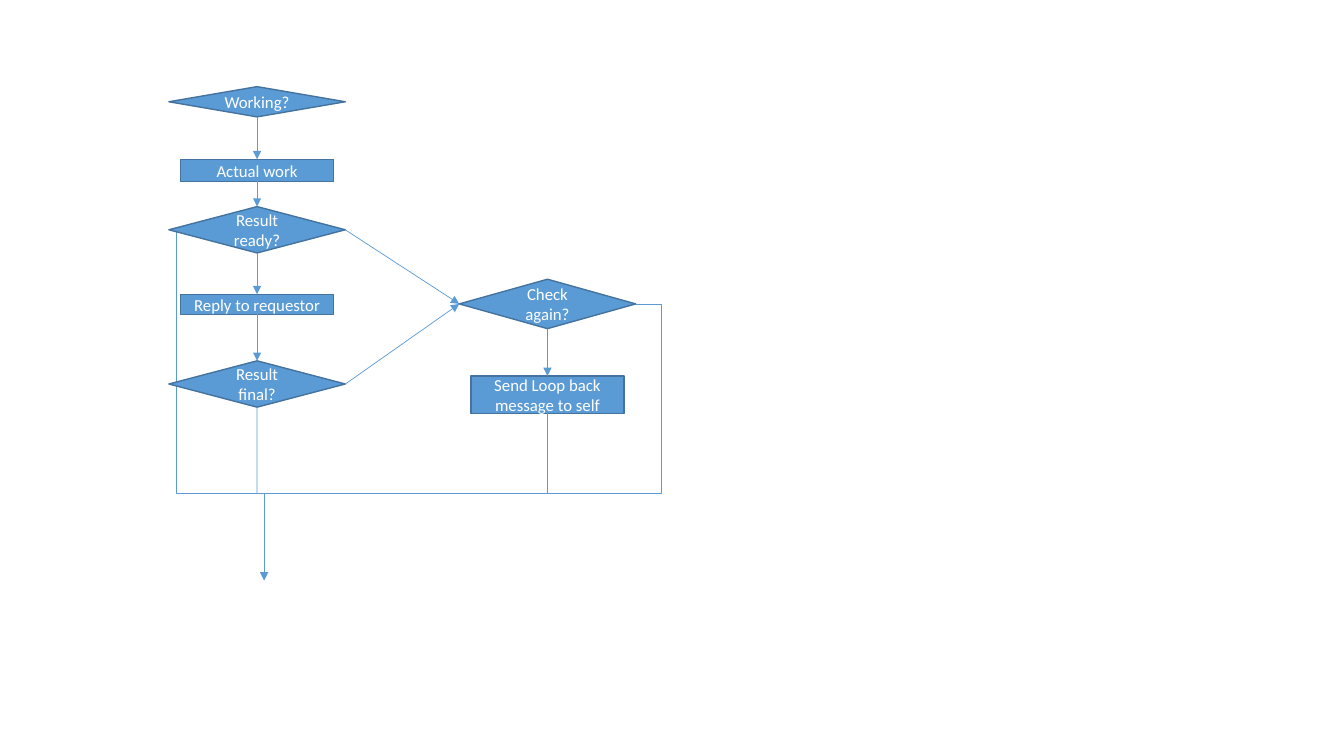
from lxml import etree
from pptx import Presentation
from pptx import util as u
from pptx.dml.color import RGBColor
from pptx.enum import shapes, text
from pptx.oxml.ns import qn

COLORS = {"fill": "5B9BD5", "border": "43739E", "line": "5B9BD5", "text": "FFFFFF"}
FONT = "Calibri"
MAIN_X, LOOP_X = 2.55, 5.43  # centres of the two columns
JOIN_Y = 4.89  # height at which all paths to the exit meet
EXIT_X, EXIT_Y = 2.62, 5.76
DECISION, ACTION = shapes.MSO_SHAPE.FLOWCHART_DECISION, shapes.MSO_SHAPE.RECTANGLE
WIDTHS = {DECISION: 1.75, ACTION: 1.52}
TOP, LEFT, BOTTOM, RIGHT = range(4)  # connection sites

# Steps: label, kind, column centre, top, height
STEPS = [
    ("Working?", DECISION, MAIN_X, 0.86, 0.30),
    ("Actual work", ACTION, MAIN_X, 1.58, 0.22),
    ("Result ready?", DECISION, MAIN_X, 2.05, 0.46),
    ("Reply to requestor", ACTION, MAIN_X, 2.92, 0.20),
    ("Result final?", DECISION, MAIN_X, 3.58, 0.46),
    ("Check again?", DECISION, LOOP_X, 2.77, 0.49),
    ("Send Loop back message to self", ACTION, LOOP_X, 3.73, 0.37),
]

# Arrows between steps: from, site, to, site
ARROWS = [
    ("Working?", BOTTOM, "Actual work", TOP),
    ("Actual work", BOTTOM, "Result ready?", TOP),
    ("Result ready?", BOTTOM, "Reply to requestor", TOP),
    ("Reply to requestor", BOTTOM, "Result final?", TOP),
    ("Check again?", BOTTOM, "Send Loop back message to self", TOP),
    ("Result ready?", RIGHT, "Check again?", LEFT),
    ("Result final?", RIGHT, "Check again?", LEFT),
]

# Plain lines from the last step of each column down to the join
DROPS = [("Result final?", MAIN_X), ("Send Loop back message to self", LOOP_X)]

# Bent lines: start, end, bend position, leaves vertically, arrowhead
READY_EDGE = (1.75, 2.3)  # on the lower left edge of "Result ready?"
BENDS = [
    (READY_EDGE, (EXIT_X, EXIT_Y),
     (JOIN_Y - READY_EDGE[1]) / (EXIT_Y - READY_EDGE[1]), True, True),
    ((6.31, 3.02), (EXIT_X, JOIN_Y), -0.068, False, False),
]


def rgb(name):
    return RGBColor.from_string(COLORS[name])


def write(shape, words, size=12, color="text", align=text.PP_ALIGN.CENTER):
    frame = shape.text_frame
    frame.word_wrap = True
    frame.vertical_anchor = text.MSO_ANCHOR.MIDDLE
    para = frame.paragraphs[0]
    para.alignment = align
    span = para.add_run()
    span.text = words
    span.font.name, span.font.size = FONT, u.Pt(size)
    span.font.color.rgb = rgb(color)


def add_step(page, label, kind, center, top, height):
    width = WIDTHS[kind]
    box = page.shapes.add_shape(kind, u.Inches(center - width / 2), u.Inches(top),
                                u.Inches(width), u.Inches(height))
    box.shadow.inherit = False
    box.fill.solid()
    box.fill.fore_color.rgb = rgb("fill")
    box.line.color.rgb = rgb("border")
    box.line.width = u.Pt(1)
    write(box, label)
    return box


def add_line(page, start, end, arrow=True, kind=shapes.MSO_CONNECTOR.STRAIGHT):
    line = page.shapes.add_connector(kind, *(u.Inches(v) for v in (*start, *end)))
    line.line.color.rgb = rgb("line")
    line.line.width = u.Pt(0.5)
    properties = line._element.spPr
    if arrow:
        etree.SubElement(properties.find(qn("a:ln")), qn("a:tailEnd"), type="triangle")
    etree.SubElement(properties, qn("a:effectLst"))
    return line


def add_bend(page, start, end, bend, vertical, arrow):
    if vertical:
        # A quarter turn about the centre makes the line leave downwards
        (x1, y1), (x2, y2) = start, end
        mid_x, mid_y = (x1 + x2) / 2, (y1 + y2) / 2
        half_x, half_y = (x2 - x1) / 2, (y2 - y1) / 2
        start = mid_x + half_y, mid_y - half_x
        end = mid_x - half_y, mid_y + half_x
    line = add_line(page, start, end, arrow, shapes.MSO_CONNECTOR.ELBOW)
    properties = line._element.spPr
    if vertical:
        properties.find(qn("a:xfrm")).set("rot", str(270 * 60000))
    geometry = properties.find(qn("a:prstGeom"))
    guides = geometry.find(qn("a:avLst"))
    if guides is None:
        guides = etree.SubElement(geometry, qn("a:avLst"))
    etree.SubElement(guides, qn("a:gd"), name="adj1", fmla=f"val {round(bend * 100000)}")


def main():
    deck = Presentation()
    deck.slide_width, deck.slide_height = u.Inches(13.33), u.Inches(7.5)
    page = deck.slides.add_slide(deck.slide_layouts[6])

    # Bent lines lie behind the steps
    for bend in BENDS:
        add_bend(page, *bend)

    # Steps
    boxes = {step[0]: add_step(page, *step) for step in STEPS}

    # Arrows are attached to the steps at both ends
    for source, source_site, target, target_site in ARROWS:
        line = add_line(page, (0, 0), (1, 1))
        line.begin_connect(boxes[source], source_site)
        line.end_connect(boxes[target], target_site)

    # Lines down to the join
    for source, center in DROPS:
        line = add_line(page, (center, 0), (center, JOIN_Y), arrow=False)
        line.begin_connect(boxes[source], BOTTOM)

    deck.save("out.pptx")


if __name__ == "__main__":
    main()
